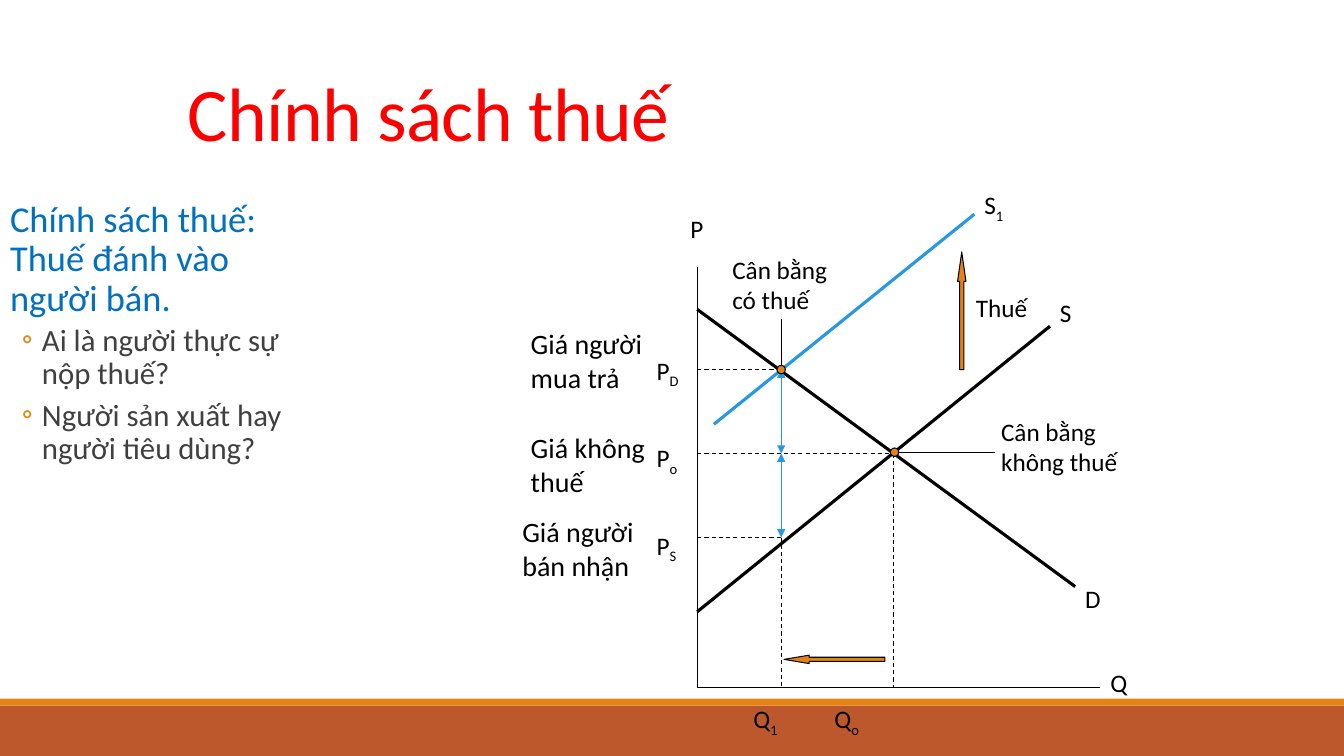
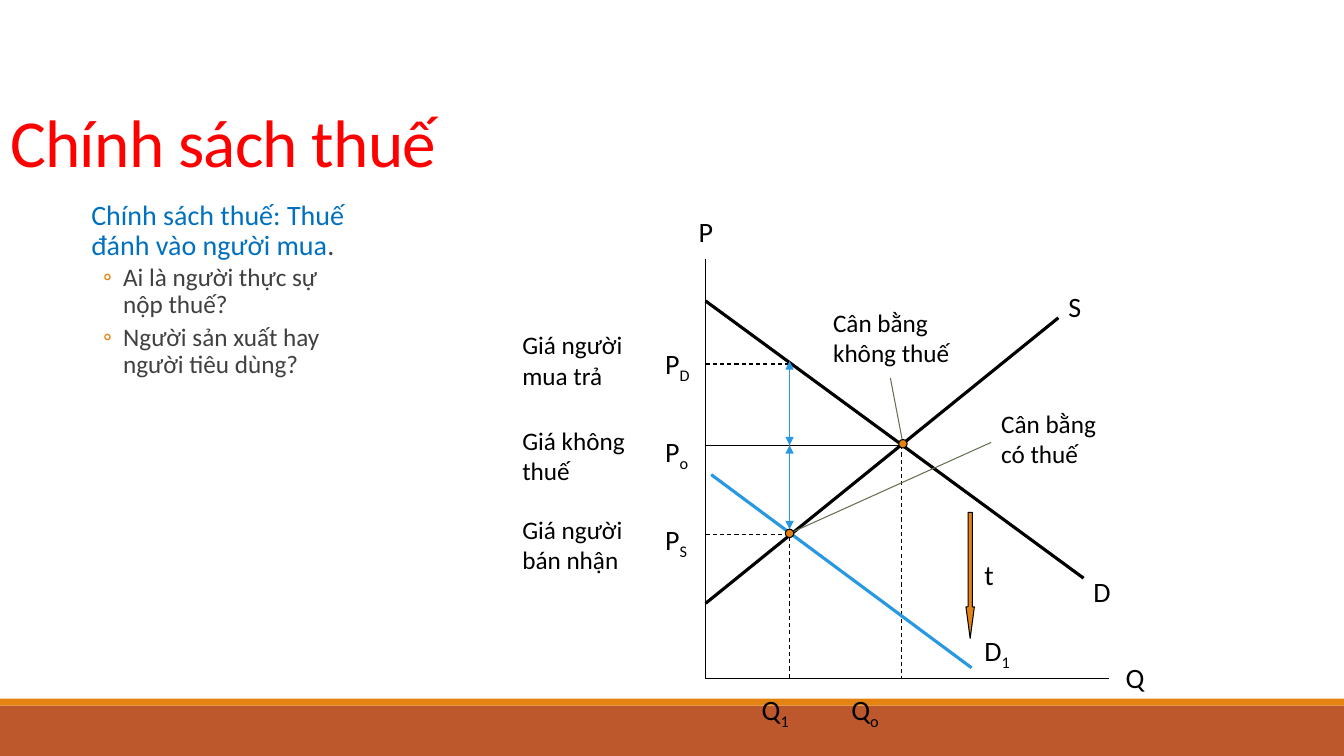
"""Build two slides on tax policy with supply and demand diagrams."""
from lxml import etree
from pptx import Presentation
from pptx import util as u
from pptx.dml.color import RGBColor
from pptx.enum import dml, shapes, text
from pptx.oxml import ns

COLORS = {"brown": "BD582C", "orange": "E48312", "red": "FF0000", "blue": "0070C0",
          "sky": "2998E3", "grey": "404040", "olive": "637052", "black": "000000"}
FONT = "Calibri"
WIDTH, HEIGHT = 960, 540
TAXED_X, FREE_X = 60, 140
BUYER_Y, FREE_Y, SELLER_Y = -227, -167, -107


def rgb(name):
    return RGBColor.from_string(COLORS[name])


def child(parent, tag, **attributes):
    return etree.SubElement(parent, ns.qn(tag), **attributes)


def write(paragraph, words, size=18, color="black", baseline=0, tracking=0):
    run = paragraph.add_run()
    run.text = words
    run.font.name, run.font.size = FONT, u.Pt(size)
    run.font.color.rgb = rgb(color)
    properties = run.font._element
    if baseline:
        properties.set("baseline", str(baseline * 1000))
    if tracking:
        properties.set("spc", str(int(tracking * 100)))


def write_symbol(paragraph, symbol, size):
    base, _, index = symbol.partition("_")
    write(paragraph, base, size)
    if index:
        write(paragraph, index, size, baseline=-25)


class Deck:
    """Hold the style, the current slide and the origin of its diagram."""

    def __init__(self):
        self.presentation = Presentation()
        self.presentation.slide_width = u.Pt(WIDTH)
        self.presentation.slide_height = u.Pt(HEIGHT)
        self.layout = self.presentation.slide_layouts[1]
        self.slide = None
        self.origin = (0, 0)

    def add_slide(self, origin):
        first = self.slide is None
        self.slide = self.presentation.slides.add_slide(self.layout)
        if first:
            self.add_bands()
        self.origin = origin

    def add_bands(self):
        for top, height, color in ((504, 36, "brown"), (499, 5, "orange")):
            band = self.shape(shapes.MSO_SHAPE.RECTANGLE, 0, top, WIDTH, height, color, None)
            self.layout.shapes.element.append(band.element)

    def place(self, x, y):
        return self.origin[0] + x, self.origin[1] + y

    def placeholder(self, index, left, top, width, height):
        shape = self.slide.placeholders[index]
        shape.left, shape.top = u.Pt(left), u.Pt(top)
        shape.width, shape.height = u.Pt(width), u.Pt(height)
        shape.text_frame.auto_size = text.MSO_AUTO_SIZE.NONE
        return shape.text_frame

    def title(self, words, box, size, align):
        frame = self.placeholder(0, *box)
        frame.vertical_anchor = text.MSO_ANCHOR.BOTTOM
        paragraph = frame.paragraphs[0]
        paragraph.alignment, paragraph.line_spacing = align, 0.85
        write(paragraph, words, size, "red", tracking=-0.5)

    def body(self, lead, items, box, lead_size, item_size, before):
        frame = self.placeholder(1, *box)
        frame.margin_left = frame.margin_right = 0
        paragraph = frame.paragraphs[0]
        self.list_format(paragraph, 0, 2, 7.2)
        for words, color in lead:
            write(paragraph, words, lead_size, color)
        for item in items:
            paragraph = frame.add_paragraph()
            paragraph.level = 1
            self.list_format(paragraph, before, 4, 30, 14.4, "◦")
            write(paragraph, item, item_size, "grey")

    def list_format(self, paragraph, before, after, margin, hanging=0, bullet=None):
        paragraph.line_spacing = 0.9
        paragraph.space_before, paragraph.space_after = u.Pt(before), u.Pt(after)
        properties = paragraph._p.get_or_add_pPr()
        properties.set("marL", str(u.Pt(margin)))
        properties.set("indent", str(-u.Pt(hanging)))
        if bullet:
            child(child(properties, "a:buClr"), "a:srgbClr", val=COLORS["orange"])
            child(properties, "a:buFont", typeface=FONT)
            child(properties, "a:buChar", char=bullet)
        else:
            child(properties, "a:buNone")

    def shape(self, kind, x, y, width, height, fill="orange", outline="black"):
        left, top = self.place(x, y)
        shape = self.slide.shapes.add_shape(kind, u.Pt(left), u.Pt(top), u.Pt(width), u.Pt(height))
        shape.shadow.inherit = False
        shape.fill.solid()
        shape.fill.fore_color.rgb = rgb(fill)
        if outline:
            shape.line.color.rgb = rgb(outline)
            shape.line.width = u.Pt(0.75)
        else:
            shape.line.fill.background()
        return shape

    def dot(self, x, y):
        self.shape(shapes.MSO_SHAPE.OVAL, x - 3, y - 3, 6, 6)

    def block_arrow(self, kind, x, y, width, height):
        arrow = self.shape(kind, x, y, width, height)
        arrow.adjustments[0] = 0.5
        arrow.adjustments[1] = max(width, height) / min(width, height) / 4

    def line(self, start, end, color="black", weight=0.75, dashed=False, arrows=False):
        ends = [u.Pt(value) for point in (start, end) for value in self.place(*point)]
        connector = self.slide.shapes.add_connector(shapes.MSO_CONNECTOR.STRAIGHT, *ends)
        connector.line.color.rgb = rgb(color)
        connector.line.width = u.Pt(weight)
        if dashed:
            connector.line.dash_style = dml.MSO_LINE.DASH
        properties = connector.element.spPr
        if arrows:
            outline = properties.find(ns.qn("a:ln"))
            child(outline, "a:headEnd", type="triangle")
            child(outline, "a:tailEnd", type="triangle")
        child(properties, "a:effectLst")

    def label(self, symbols, x, y, size=18, width=42, height=30, gap=0):
        left, top = self.place(x, y)
        box = self.slide.shapes.add_textbox(u.Pt(left), u.Pt(top), u.Pt(width), u.Pt(height))
        frame = box.text_frame
        frame.word_wrap = True
        for number, symbol in enumerate(symbols.split("|")):
            paragraph = frame.add_paragraph() if number else frame.paragraphs[0]
            paragraph.space_before = u.Pt(gap if number else 0)
            write_symbol(paragraph, symbol, size)

    def market(self, size, names, prices, dash_levels, free_dashed):
        self.line((0, -300), (0, 0))
        self.line((0, 0), (288, 0))
        self.line((0, -270), (270, -72), weight=2.25)
        self.line((0, -54), (252, -258), weight=2.25)
        for level in dash_levels:
            self.line((0, level), (TAXED_X, level), dashed=True)
        self.line((0, FREE_Y), (FREE_X, FREE_Y), dashed=free_dashed)
        self.line((FREE_X, FREE_Y), (FREE_X, 0), dashed=True)
        self.line((TAXED_X, SELLER_Y), (TAXED_X, 0), dashed=True)
        for top, bottom in ((BUYER_Y, FREE_Y), (FREE_Y, SELLER_Y)):
            self.line((TAXED_X, top), (TAXED_X, bottom), "sky", arrows=True)
        for name, x, y in [("S", 252, -282), ("D", 270, -78)] + names:
            self.label(name, x, y, size)
        self.label("P_D|P_o|P_S", -36, -241, size, 40, 150, 60 - 1.22 * size)
        for words, x, y in prices:
            self.label(words, x, y, 38 - size, 96, 52)

    def equilibrium(self, words, dot, leader, x, y, width):
        self.line(dot, leader, self.leader_color)
        self.dot(*dot)
        self.label(words, x, y, width=width, height=50)


BUYER, FREE, SELLER = "Giá người mua trả", "Giá không thuế", "Giá người bán nhận"
WITH_TAX, WITHOUT_TAX = "Cân bằng có thuế", "Cân bằng không thuế"
TITLE = "Chính sách thuế"
QUESTIONS = ["Ai là người thực sự nộp thuế?", "Người sản xuất hay người tiêu dùng?"]

deck = Deck()

deck.add_slide(origin=(0, 0))
deck.origin = (498, 491)
deck.leader_color = "black"
deck.title(TITLE, (0, 26, 612, 90), 54, text.PP_ALIGN.CENTER)
deck.body([("Chính sách thuế: Thuế đánh vào người bán.", "blue")], QUESTIONS,
          (0, 140, 215, 380), 26, 22, 2)
deck.market(18, [("P", -12, -342), ("Q", 288, -18), ("Q_1", 33, 8), ("Q_o", 91, 8),
                 ("S_1", 198, -359)],
            [(BUYER, -126, -261), (FREE, -126, -187), (SELLER, -132, -127)],
            (BUYER_Y, SELLER_Y), True)
deck.line((12, -188), (198, -338), "sky", 2.25)
deck.label("Thuế", 192, -286, width=60)
deck.block_arrow(shapes.MSO_SHAPE.LEFT_ARROW, 62, -23, 72, 6)
deck.block_arrow(shapes.MSO_SHAPE.UP_ARROW, 186, -311, 6, 84)
deck.equilibrium(WITH_TAX, (60, -227), (60, -263), 18, -313, 96)
deck.equilibrium(WITHOUT_TAX, (141, -168), (213, -168), 210, -197, 114)

deck.add_slide(origin=(504, 485))
deck.leader_color = "olive"
deck.title(TITLE, (0, 29, 828, 104), 48, text.PP_ALIGN.LEFT)
deck.body([("Chính sách thuế: Thuế đánh vào người mua", "blue"), (".", "grey")], QUESTIONS,
          (58, 140, 192, 342), 20, 18, 0)
deck.market(20, [("P", -12, -335), ("Q", 293, -17), ("Q_1", 33, 6), ("Q_o", 97, 6),
                 ("D_1", 192, -36), ("t", 192, -90)],
            [(BUYER, -138, -253), (FREE, -138, -185), (SELLER, -138, -121)],
            (-225, -103), False)
deck.line((4, -146), (190, -8), "sky", 2.25)
deck.block_arrow(shapes.MSO_SHAPE.DOWN_ARROW, 186, -119, 6, 90)
deck.equilibrium(WITHOUT_TAX, (141, -168), (132, -215), 84, -269, 114)
deck.equilibrium(WITH_TAX, (60, -104), (204, -169), 204, -197, 96)

deck.presentation.save("out.pptx")
